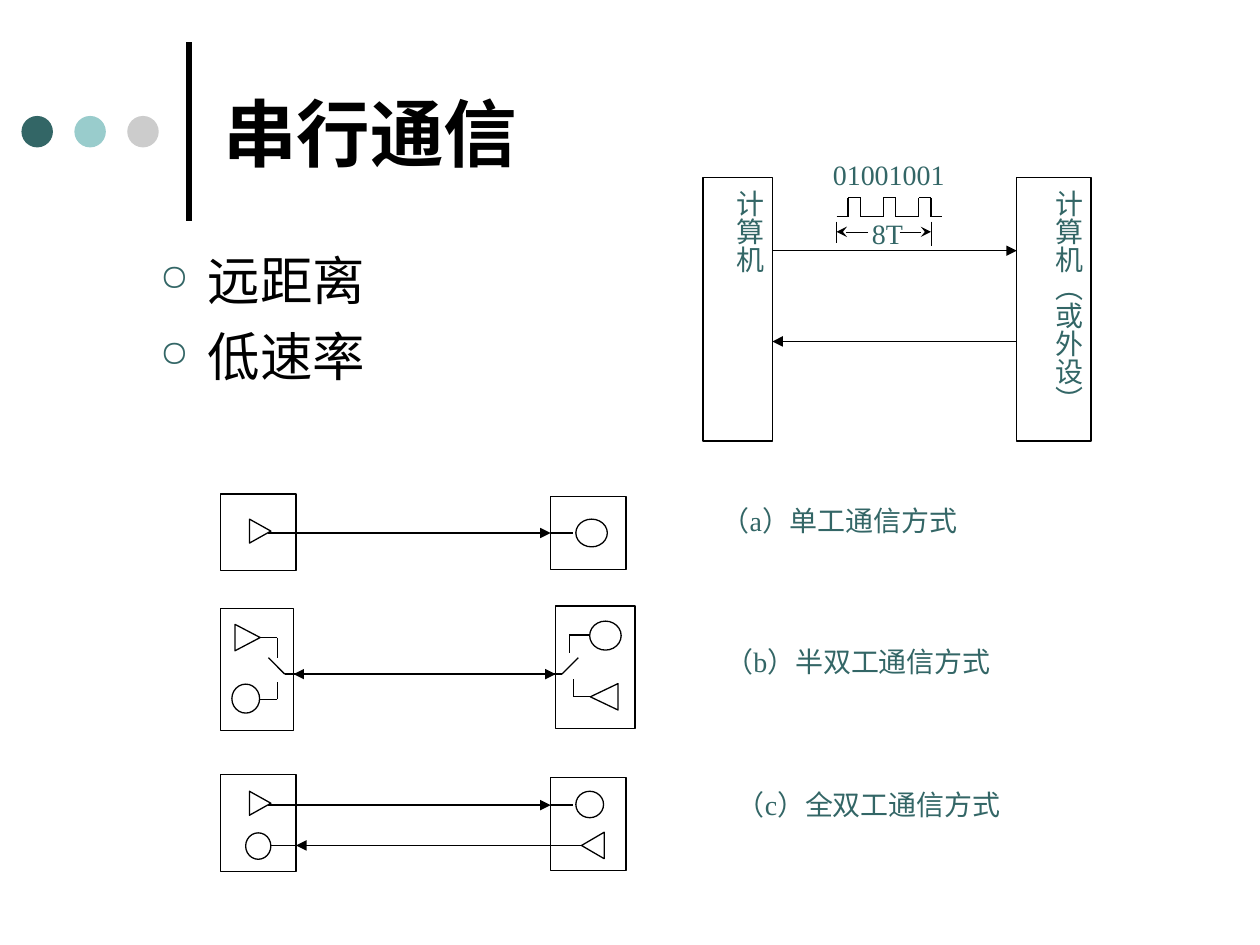
from itertools import pairwise

from lxml.etree import SubElement
from pptx import Presentation
from pptx.dml.color import RGBColor
from pptx.enum.shapes import MSO_CONNECTOR, MSO_SHAPE
from pptx.enum.text import MSO_ANCHOR, PP_ALIGN
from pptx.oxml.ns import qn
from pptx.util import Pt

PX = 9144  # 100 px to the inch
BLACK = RGBColor(0x00, 0x00, 0x00)
TEAL = RGBColor(0x33, 0x66, 0x66)
AQUA = RGBColor(0x99, 0xCC, 0xCC)
GRAY = RGBColor(0xCC, 0xCC, 0xCC)
RECT, OVAL, TRIANGLE = MSO_SHAPE.RECTANGLE, MSO_SHAPE.OVAL, MSO_SHAPE.ISOSCELES_TRIANGLE

deck = Presentation()
deck.slide_width, deck.slide_height = 1000 * PX, 750 * PX
page = deck.slides.add_slide(deck.slide_layouts[5])


def add_outline(kind, left, top, width, height, rotation=0):
    shape = page.shapes.add_shape(kind, left * PX, top * PX, width * PX, height * PX)
    shape.rotation = rotation
    shape.shadow.inherit = False
    shape.fill.background()
    shape.line.color.rgb = BLACK
    shape.line.width = Pt(0.75)
    return shape


def add_line(x1, y1, x2, y2, weight=0.75, head=None, tail=None):
    """Draw a line; head is the arrow type at its start, tail at its end."""
    line = page.shapes.add_connector(
        MSO_CONNECTOR.STRAIGHT, x1 * PX, y1 * PX, x2 * PX, y2 * PX)
    line.line.color.rgb = BLACK
    line.line.width = Pt(weight)
    stroke = line.line._get_or_add_ln()
    for tag, arrow in (("a:headEnd", head), ("a:tailEnd", tail)):
        if arrow:
            SubElement(stroke, qn(tag), type=arrow)
    SubElement(line._element.spPr, qn("a:effectLst"))
    return line


# Rule and dots beside the title
add_line(150, 175, 150, 33, weight=3)
for index, color in enumerate((TEAL, AQUA, GRAY)):
    dot = add_outline(OVAL, 17 + 42 * index, 92, 25, 25)
    dot.fill.solid()
    dot.fill.fore_color.rgb = color
    dot.line.fill.background()

# Title
title = page.shapes.title
title.left, title.top, title.width, title.height = 167 * PX, 21 * PX, 767 * PX, 167 * PX
title.text_frame.vertical_anchor = MSO_ANCHOR.MIDDLE
para = title.text_frame.paragraphs[0]
para.alignment = PP_ALIGN.LEFT
span = para.add_run()
span.text = "串行通信"
span.font.name, span.font.size, span.font.bold = "Times New Roman", Pt(42), True
span.font.color.rgb = BLACK

# Bullet list
bullets = page.shapes.add_textbox(117 * PX, 192 * PX, 308 * PX, 133 * PX).text_frame
bullets.word_wrap = True
for index, text in enumerate(("远距离", "低速率")):
    para = bullets.add_paragraph() if index else bullets.paragraphs[0]
    if index:
        para.space_before = Pt(7.5)
    settings = para._p.get_or_add_pPr()
    settings.set("marL", str(38 * PX))
    settings.set("indent", str(-38 * PX))
    bullet_color = SubElement(settings, qn("a:buClr"))
    SubElement(bullet_color, qn("a:srgbClr"), val=str(TEAL))
    SubElement(settings, qn("a:buSzPct"), val="70000")
    SubElement(settings, qn("a:buChar"), char="○")
    span = para.add_run()
    span.text = text
    span.font.name, span.font.size = "Arial", Pt(30)
    span.font.color.rgb = BLACK

# Two computers and the links between them
computer = add_outline(RECT, 558, 141, 55, 209)
peer = add_outline(RECT, 807, 141, 59, 209)
add_line(613, 199, 807, 199, tail="triangle")
add_line(613, 271, 807, 271, head="triangle")

# Pulse train for the bits
pulse = [(664, 172)]
for rise in (673, 701, 729):
    pulse += [(rise, 172), (rise, 157), (rise + 10, 157), (rise + 10, 172)]
pulse.append((748, 172))
for start, end in pairwise(pulse):
    add_line(*start, *end)

# Dimension marks of the eight bit times
add_line(664, 176, 664, 193, weight=0.25)
add_line(739, 176, 739, 195, weight=0.25)
add_line(714, 184, 739, 184, weight=0.25, tail="stealth")
add_line(689, 184, 664, 184, weight=0.25, tail="stealth")

# Stations: simplex, half duplex, full duplex
add_outline(RECT, 175, 392, 60, 61)
receiver = add_outline(RECT, 437, 394, 60, 58)
for station in (
    (175, 483, 58, 97), (441, 481, 63, 97),
    (175, 615, 60, 77), (437, 617, 60, 74),
):
    add_outline(RECT, *station)

for circle in (
    (457, 412, 25, 22),
    (468, 493, 25, 23), (184, 543, 22, 23),
    (457, 628, 22, 21), (195, 661, 20, 21),
):
    add_outline(OVAL, *circle)

for sender in (
    (197, 413, 19, 17, 90),
    (186, 496, 21, 20, 90), (469, 542, 21, 22, 270),
    (197, 629, 19, 17, 90), (460, 662, 21, 18, 270),
):
    add_outline(TRIANGLE, *sender)

# Simplex channel
add_line(213, 423, 437, 423, tail="triangle").end_connect(receiver, 1)
add_line(437, 423, 455, 423).begin_connect(receiver, 1)

# Half-duplex switches and channel
for wire in (
    [(206, 506), (220, 506), (220, 522)],
    [(206, 555), (220, 555), (220, 541)],
    [(213, 522), (226, 535), (446, 535), (459, 522)],
    [(468, 504), (452, 504), (452, 518)],
    [(468, 553), (455, 553), (455, 539)],
):
    for start, end in pairwise(wire):
        add_line(*start, *end)
add_line(233, 535, 441, 535, head="triangle", tail="triangle")

# Full-duplex channels
add_line(213, 639, 437, 639, tail="triangle")
add_line(437, 639, 455, 639)
add_line(215, 671, 461, 671)
add_line(434, 671, 235, 671, tail="triangle")

# Labels: box, text, alignment, side inset, top inset
labels = [
    (computer, "计算机", PP_ALIGN.CENTER, 5, 10),
    (peer, "计算机（或外设）", PP_ALIGN.CENTER, 5, 10),
]
for box in (computer, peer):
    box.text_frame._txBody.bodyPr.set("vert", "eaVert")
for text, left, top, width, height, side, above in (
    ("01001001", 661, 125, 91, 25, 0, 0),
    ("8T", 692, 172, 28, 27, 0, 0),
    ("（a）单工通信方式", 563, 395, 268, 53, 10, 5),
    ("（b）半双工通信方式", 566, 507, 286, 53, 10, 5),
    ("（c）全双工通信方式", 575, 620, 284, 53, 10, 5),
):
    box = page.shapes.add_textbox(left * PX, top * PX, width * PX, height * PX)
    labels.append((box, text, PP_ALIGN.JUSTIFY, side, above))

for box, text, alignment, side, above in labels:
    frame = box.text_frame
    frame.word_wrap = True
    frame.vertical_anchor = MSO_ANCHOR.TOP
    frame.margin_left = frame.margin_right = side * PX
    frame.margin_top = frame.margin_bottom = above * PX
    para = frame.paragraphs[0]
    para.alignment = alignment
    span = para.add_run()
    span.text = text
    span.font.name, span.font.size = "Times New Roman", Pt(16)
    span.font.color.rgb = TEAL

deck.save("out.pptx")
